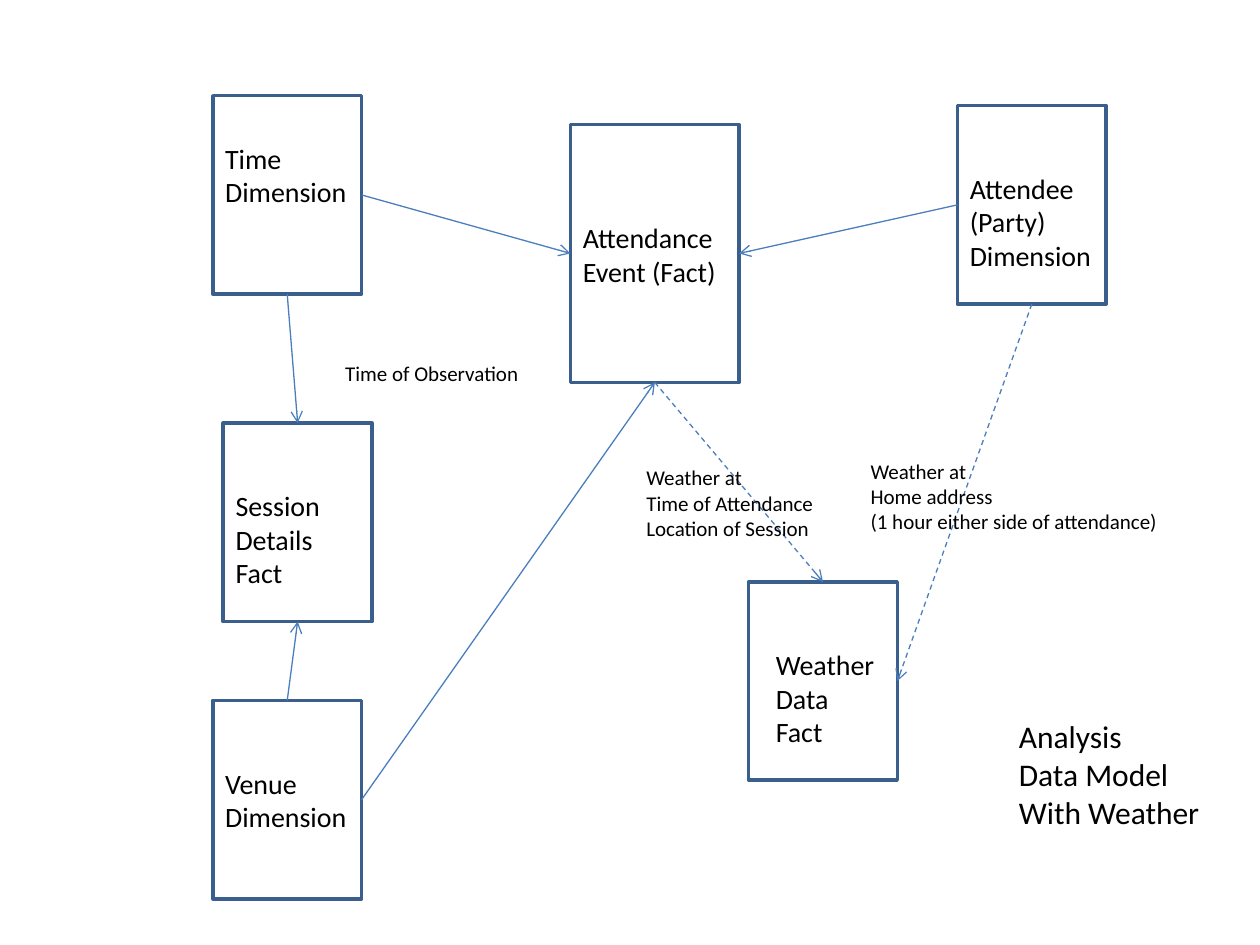
import pptx
import pptx.dml.color
import pptx.enum.dml
import pptx.enum.shapes
import pptx.enum.text
import pptx.oxml
import pptx.oxml.ns
import pptx.util
from pptx.util import Cm

COLORS = {"border": "3A5F8C", "arrow": "4B7EBC", "text": "000000"}
FONT = "Calibri"
TOP, LEFT, BOTTOM, RIGHT = range(4)

ENTITIES = {
    "time": dict(left=4.29, top=1.93, lines=["Time", "Dimension"], label_width=2.97, label_down=0.79),
    "venue": dict(left=4.29, top=14.12, lines=["Venue", "Dimension"], label_width=2.97),
    "attendee": dict(left=19.3, top=2.13, lines=["Attendee", "(Party)", "Dimension"], label_width=2.97),
    "attendance": dict(left=11.5, top=2.51, lines=["Attendance", "Event (Fact)"], label_width=3.23,
                       label_down=1.81, width=3.4, height=5.2),
    "session": dict(left=4.5, top=8.53, lines=["Session", "Details", "Fact"], label_width=2.26),
    "weather": dict(left=15.09, top=11.73, lines=["Weather", "Data", "Fact"], label_width=2.51,
                    label_right=0.3),
}

RELATIONS = [
    ("time", BOTTOM, "session", TOP, False),
    ("time", RIGHT, "attendance", LEFT, False),
    ("venue", TOP, "session", BOTTOM, False),
    ("attendee", LEFT, "attendance", RIGHT, False),
    ("attendee", BOTTOM, "weather", RIGHT, True),
    ("attendance", BOTTOM, "weather", TOP, True),
    ("venue", RIGHT, "attendance", BOTTOM, False),
]

NOTES = [
    (17.3, 9.12, 6.35, 12, ["Weather at", "Home address", "(1 hour either side of attendance)"]),
    (6.71, 7.14, 4.04, 12, ["Time of Observation"]),
    (12.78, 9.25, 3.94, 12, ["Weather at", "Time of Attendance", "Location of Session"]),
    (20.29, 14.33, 4.19, 18, ["Analysis", "Data Model", "With Weather"]),
]


def color(name):
    return pptx.dml.color.RGBColor.from_string(COLORS[name])


def add_text(shapes, left, top, width, size, lines):
    height = 0.26 + 0.0425 * size * len(lines)
    shape = shapes.add_textbox(Cm(left), Cm(top), Cm(width), Cm(height))
    frame = shape.text_frame
    frame.word_wrap = False
    frame.auto_size = pptx.enum.text.MSO_AUTO_SIZE.SHAPE_TO_FIT_TEXT
    for index, line in enumerate(lines):
        paragraph = frame.add_paragraph() if index else frame.paragraphs[0]
        run = paragraph.add_run()
        run.text = line
        run.font.name = FONT
        run.font.size = pptx.util.Pt(size)
        run.font.color.rgb = color("text")


def add_entity(slide, left, top, lines, label_width, label_right=0, label_down=1.2, width=3, height=4):
    group = slide.shapes.add_group_shape()
    box = group.shapes.add_shape(pptx.enum.shapes.MSO_SHAPE.RECTANGLE,
                                 Cm(left), Cm(top), Cm(width), Cm(height))
    box.shadow.inherit = False
    box.fill.background()
    box.line.color.rgb = color("border")
    box.line.width = pptx.util.Pt(2)
    add_text(group.shapes, left + label_right, top + label_down, label_width, 16, lines)
    return box


def add_arrow(slide, source, source_side, target, target_side, dashed):
    arrow = slide.shapes.add_connector(pptx.enum.shapes.MSO_CONNECTOR.STRAIGHT, 0, 0, 0, 0)
    arrow.begin_connect(source, source_side)
    arrow.end_connect(target, target_side)
    arrow.line.color.rgb = color("arrow")
    arrow.line.width = pptx.util.Pt(0.75)
    if dashed:
        arrow.line.dash_style = pptx.enum.dml.MSO_LINE.DASH
    properties = arrow.element.spPr
    line = properties.find(pptx.oxml.ns.qn("a:ln"))
    namespace = pptx.oxml.ns.nsdecls("a")
    line.append(pptx.oxml.parse_xml(f'<a:tailEnd {namespace} type="arrow"/>'))
    properties.append(pptx.oxml.parse_xml(f"<a:effectLst {namespace}/>"))


def main():
    presentation = pptx.Presentation()
    presentation.slide_width = Cm(25.4)
    presentation.slide_height = Cm(19.05)
    slide = presentation.slides.add_slide(presentation.slide_layouts[6])
    boxes = {name: add_entity(slide, **entity) for name, entity in ENTITIES.items()}
    for source, source_side, target, target_side, dashed in RELATIONS:
        add_arrow(slide, boxes[source], source_side, boxes[target], target_side, dashed)
    for note in NOTES:
        add_text(slide.shapes, *note)
    presentation.save("out.pptx")


main()
